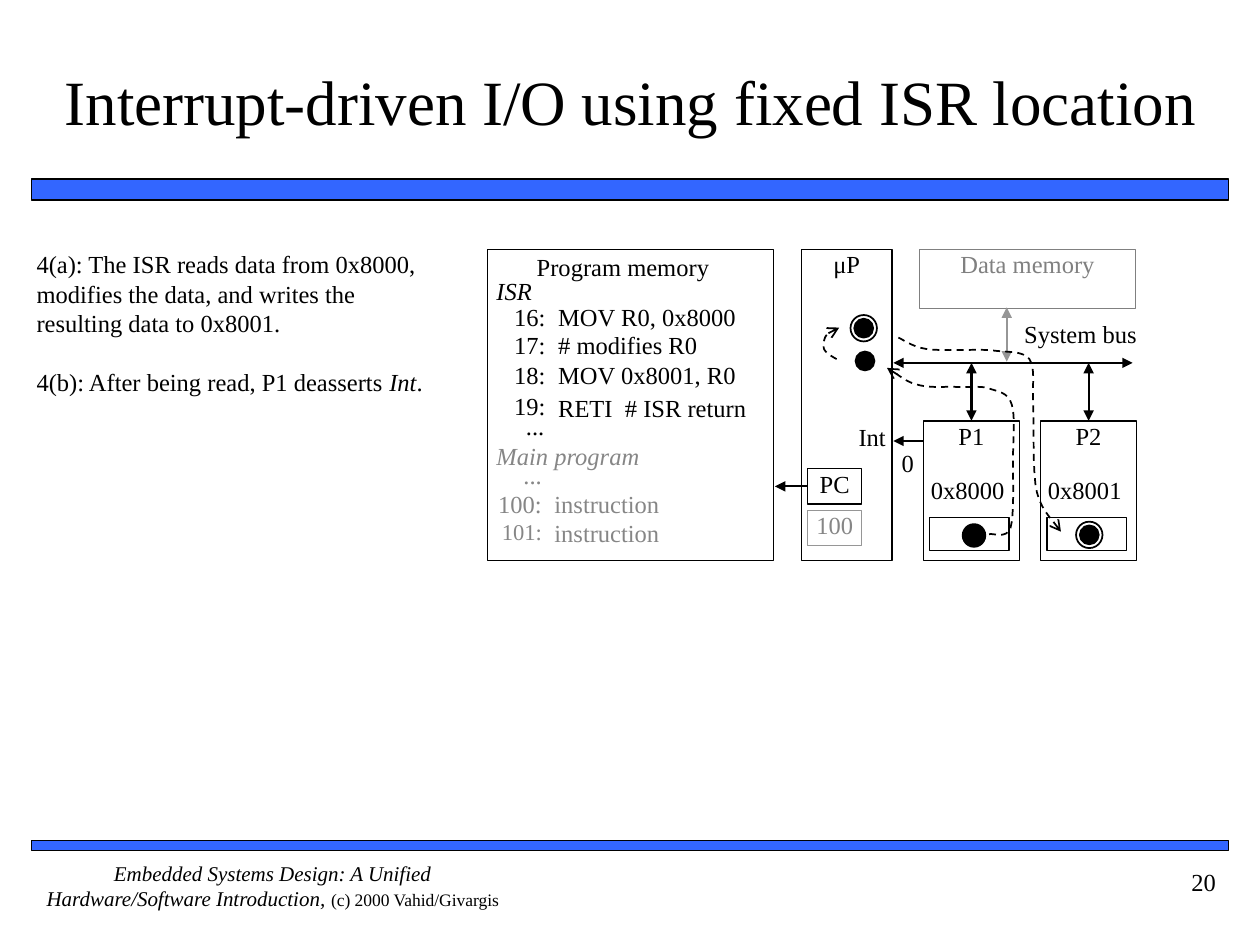
from pptx import Presentation
from pptx.dml.color import RGBColor
from pptx.enum import dml, shapes, text
from pptx.oxml.ns import qn
from pptx.util import Pt
from lxml import etree

PX = 9144  # 100 px to the inch
FONT = "Times New Roman"
COLORS = {"black": "000000", "white": "FFFFFF", "blue": "3366FF",
          "gray": "868686", "mid": "808080", "light": "969696"}
RGB = {name: RGBColor.from_string(value) for name, value in COLORS.items()}
LEFT, CENTER, RIGHT = text.PP_ALIGN.LEFT, text.PP_ALIGN.CENTER, text.PP_ALIGN.RIGHT
RECT, OVAL = shapes.MSO_SHAPE.RECTANGLE, shapes.MSO_SHAPE.OVAL

prs = Presentation()
prs.slide_width, prs.slide_height = 1000 * PX, 750 * PX
s = prs.slides.add_slide(prs.slide_layouts[5])


def add_box(at, words="", kind=None, fill=None, line="black", width=0.75,
            color="black", align=CENTER, size=14, italic=False):
    """Add a preset shape, or a text box when no kind is given."""
    at = [v * PX for v in at]
    if kind is None:
        sp = s.shapes.add_textbox(*at)
    else:
        sp = s.shapes.add_shape(kind, *at)
        sp.shadow.inherit = False
        sp.line.color.rgb = RGB[line]
        sp.line.width = Pt(width)
        if fill:
            sp.fill.solid()
            sp.fill.fore_color.rgb = RGB[fill]
        else:
            sp.fill.background()
    tf = sp.text_frame
    tf.word_wrap = True
    tf.vertical_anchor = text.MSO_ANCHOR.TOP
    tf.margin_left = tf.margin_right = tf.margin_top = tf.margin_bottom = 0
    if words:
        p = tf.paragraphs[0]
        p.text, p.alignment = words, align
        p.font.name, p.font.size, p.font.italic = FONT, Pt(size), italic
        p.font.color.rgb = RGB[color]
    return sp


def style_line(sp, width, color="black", head=None, tail=None):
    """Set line width and colour, and the arrowheads at its two ends."""
    sp.line.width = Pt(width)
    sp.line.color.rgb = RGB[color]
    ln = sp.line._get_or_add_ln()
    for tag, arrow in (("a:headEnd", head), ("a:tailEnd", tail)):
        if arrow:
            etree.SubElement(ln, qn(tag), type=arrow)
    if sp._element.spPr.find(qn("a:effectLst")) is None:
        etree.SubElement(sp._element.spPr, qn("a:effectLst"))


# Title
title = s.shapes.title
title.left, title.top, title.width, title.height = [v * PX for v in (42, 17, 917, 125)]
tf = title.text_frame
tf.margin_left = tf.margin_right = 0
tf.vertical_anchor = text.MSO_ANCHOR.MIDDLE
p = tf.paragraphs[0]
p.text, p.alignment = "Interrupt-driven I/O using fixed ISR location", CENTER
p.font.name, p.font.size, p.font.color.rgb = FONT, Pt(36), RGB["black"]

# Blue bars, footer and slide number
for top, height in ((142, 17), (667, 8)):
    add_box((25, top, 950, height), kind=RECT, fill="blue", width=1)
footer = add_box((25, 683, 383, 50),
                 "Embedded Systems Design: A Unified Hardware/Software Introduction, ",
                 size=12, italic=True)
r = footer.text_frame.paragraphs[0].add_run()
r.text = "(c) 2000 Vahid/Givargis"
r.font.size, r.font.italic = Pt(10), False
add_box((885, 688, 80, 40), "20", align=RIGHT)

# Explanation of step 4
steps = add_box((29, 198, 314, 133),
                "4(a): The ISR reads data from 0x8000, modifies the data, "
                "and writes the resulting data to 0x8001.", align=LEFT)
p = steps.text_frame.add_paragraph()
p.space_before = Pt(17)
p.font.name, p.font.size, p.font.color.rgb = FONT, Pt(14), RGB["black"]
for words, italic in (("4(b): After being read, P1 deasserts ", False),
                      ("Int", True), (".", False)):
    r = p.add_run()
    r.text, r.font.italic = words, italic

# Program memory
add_box((387, 198, 227, 247), kind=RECT, fill="white")
add_box((426, 200, 156, 32), "Program memory", align=LEFT)
add_box((394, 219, 49, 34), "ISR", align=LEFT, italic=True)
add_box((394, 350, 133, 33), "Main program", align=LEFT, italic=True, color="gray")
listing = [  # label, label top, right edge, size, colour, code, code top
    ("16:", 240, 433, 14, "black", "MOV R0, 0x8000", 240),
    ("17:", 262, 433, 14, "black", "# modifies R0", 262),
    ("18:", 286, 433, 14, "black", "MOV 0x8001, R0", 286),
    ("19:", 310, 433, 14, "black", "RETI  # ISR return", 312),
    ("...", 326, 432, 14, "black", "", 0),
    ("...", 365, 430, 14, "gray", "", 0),
    ("100:", 388, 430, 14, "gray", "instruction", 388),
    ("101:", 411, 430, 12.9, "gray", "instruction", 411),
]
for label, top, right, size, color, code, code_top in listing:
    add_box((right - 48, top, 48, 25), label, align=RIGHT, size=size, color=color)
    if code:
        add_box((right + 10, code_top, 175, 26), code, align=LEFT, color=color)

# Processor and data memory
add_box((636, 198, 72, 247), "μP", RECT, "white")
pc = add_box((641, 372, 43, 28), "PC", RECT, "white")
add_box((641, 405, 43, 28), "100", RECT, line="light", color="gray")
add_box((730, 198, 171, 47), "Data memory", RECT, line="mid", color="mid")
add_box((671, 335, 32, 32), "Int", align=RIGHT)
add_box((706, 356, 29, 23), "0")
add_box((807, 253, 101, 39), "System bus")

# Peripherals with their registers
peripherals = []
for left, name, address in ((733, "P1", "0x8000"), (826, "P2", "0x8001")):
    peripherals.append(add_box((left, 334, 76, 111), name, RECT, "white"))
    add_box((left + 5, 411, 63, 26), kind=RECT, fill="white")
    add_box((left + 2, 377, 66, 30), address)

# Straight arrows: start, end, width, colour, head, start joint, end joint
tri = "triangle"
arrows = [
    ((799, 244), (799, 287), 1.25, "light", tri, None, None),
    ((709, 288), (899, 288), 1.25, "black", tri, None, None),
    ((771, 288), (771, 334), 1.25, "black", tri, None, (peripherals[0], 0)),
    ((864, 288), (864, 334), 1.25, "black", tri, None, (peripherals[1], 0)),
    ((641, 386), (615, 386), 1.25, "black", None, (pc, 1), None),
    ((733, 350), (709, 350), 0.75, "black", None, None, None),
]
for start, end, width, color, head, begin_joint, end_joint in arrows:
    line = s.shapes.add_connector(shapes.MSO_CONNECTOR.STRAIGHT,
                                  *[v * PX for v in start + end])
    if begin_joint:
        line.begin_connect(*begin_joint)
    if end_joint:
        line.end_connect(*end_joint)
    style_line(line, width, color, head, tri)

# Dashed data paths: a start point, then Bézier pieces of three points each
paths = [
    [(785, 424), (788, 423), (799, 428), (802, 419), (805, 409), (804, 382),
     (804, 366), (804, 349), (806, 330), (803, 321), (800, 311), (792, 311),
     (784, 308), (777, 306), (767, 308), (757, 307), (748, 307), (736, 308),
     (727, 305), (718, 303), (709, 294), (704, 292)],
    [(664, 285), (662, 284), (655, 280), (654, 277), (653, 274), (654, 268),
     (656, 266), (658, 263), (664, 261), (666, 260)],
    [(713, 268), (716, 269), (723, 275), (735, 277), (748, 279), (773, 277),
     (786, 278), (800, 280), (811, 278), (817, 285), (822, 293), (819, 305),
     (820, 323), (821, 340), (819, 374), (823, 391), (827, 407), (838, 415),
     (842, 422)],
]
STEPS = 8
for points in paths:
    curve = []
    for i in range(0, len(points) - 1, 3):
        for t in (n / STEPS for n in range(1, STEPS + 1)):
            weights = ((1 - t) ** 3, 3 * t * (1 - t) ** 2, 3 * t * t * (1 - t), t ** 3)
            curve.append([round(PX * sum(w * pt[axis] for w, pt in
                                         zip(weights, points[i:i + 4])))
                          for axis in (0, 1)])
    builder = s.shapes.build_freeform(*[v * PX for v in points[0]])
    builder.add_line_segments(curve, close=False)
    sp = builder.convert_to_shape()
    sp.fill.background()
    sp.line.dash_style = dml.MSO_LINE.DASH
    style_line(sp, 1, tail="arrow")

# Data tokens: solid dots and the rings around the modified ones
for left, top, size, fill in ((764, 416, 18, "black"), (679, 279, 15, "black"),
                              (678, 253, 15, "black"), (675, 250, 21, None),
                              (857, 417, 15, "black"), (854, 414, 21, None)):
    add_box((left, top, size, size), kind=OVAL, fill=fill, width=1)

prs.save("out.pptx")
